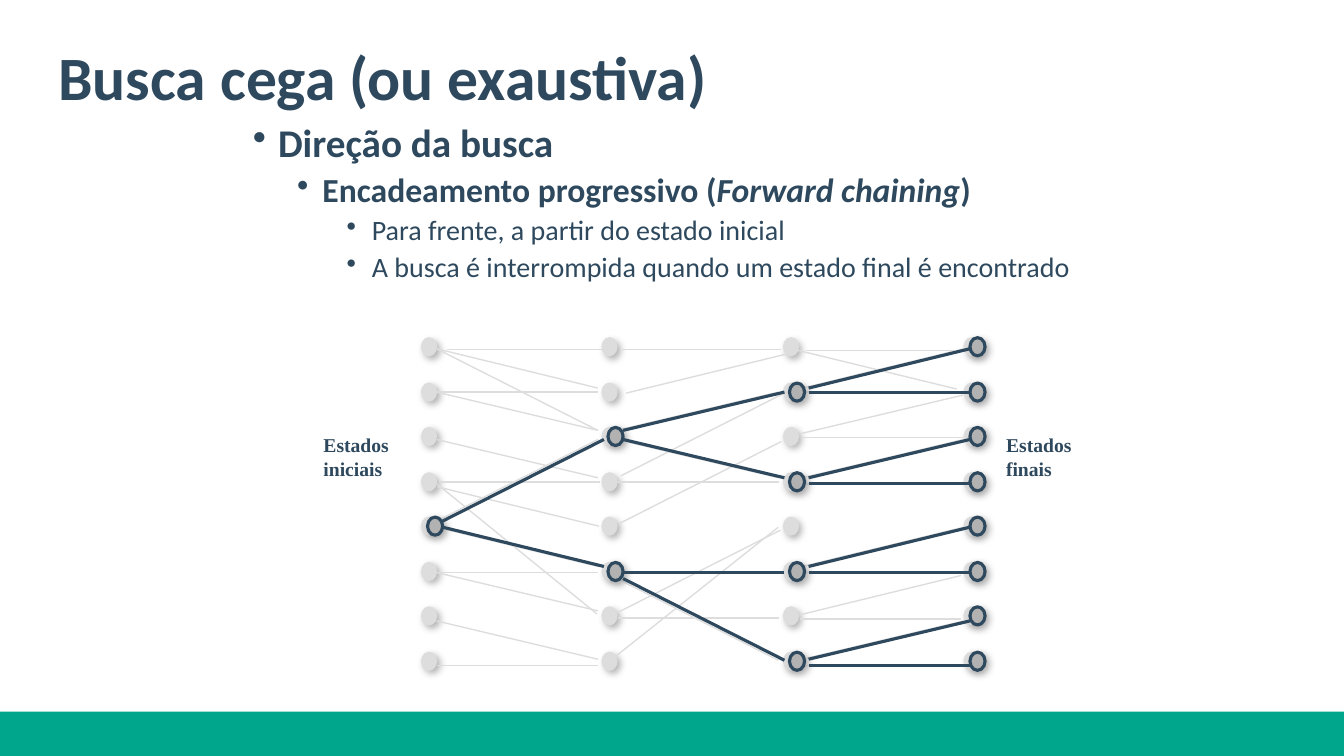
import pptx
import pptx.dml.color
import pptx.enum.shapes
import pptx.enum.text
import pptx.oxml
import pptx.oxml.ns
import pptx.util
from dataclasses import dataclass
from itertools import product
from typing import Any, NamedTuple

PX = 9144  # EMU per px, 100 px to the inch


@dataclass(frozen=True)
class Theme:
    ink: str = "2E495E"
    band: str = "00A68B"
    faded: str = "DDDDDD"
    visited: str = "B2B2B2"
    shadow: str = "9F9D9E"
    font: str = "Calibri"
    label_font: str = "Times New Roman"
    title_size: int = 44
    bullet_sizes: tuple[int, ...] = (28, 24, 20)
    label_size: int = 14


class Node(NamedTuple):
    column: int
    row: int


class Link(NamedTuple):
    """A line across the gap after a column, from height y to end_y."""
    column: int
    y: int
    end_y: int
    nudge: int = 0


class Look(NamedTuple):
    fill: str
    line: str
    outline: float
    link_width: float
    shift: int


class Bullet(NamedTuple):
    level: int
    text: str
    italic: str = ""
    tail: str = ""


class Label(NamedTuple):
    x: int
    lines: tuple[str, str]


THEME = Theme()
FADED = Look(THEME.faded, THEME.faded, 0.75, 1, 0)
ACTIVE = Look(THEME.visited, THEME.ink, 2.25, 2.25, 6)

COLUMN_X = (418, 597, 777, 956)
LINK_X = (433, 612, 796)
LINK_WIDTH = 160
ROW_TOP, ROW_STEP, ROWS = 335, 44.57, 8
NODE_WIDTH, NODE_HEIGHT = 15, 18
BULLET_INDENTS = (75, 119, 168)
HANGING = 25

ALL_NODES = [Node(*place) for place in product(range(len(COLUMN_X)), range(ROWS))]
VISITED_ROWS = ((4,), (2, 5), (1, 3, 5, 7), range(ROWS))
VISITED_NODES = [Node(column, row) for column, rows in enumerate(VISITED_ROWS) for row in rows]

SEARCH_LINKS = [
    Link(0, 523, 562), Link(0, 517, 436),
    Link(1, 427, 389), Link(1, 436, 474), Link(1, 568, 568), Link(1, 574, 655),
    Link(2, 385, 346), Link(2, 389, 389), Link(2, 474, 436), Link(2, 480, 480),
    Link(2, 562, 523), Link(2, 568, 568), Link(2, 654, 616), Link(2, 660, 660),
]
OTHER_LINKS = [
    Link(0, 346, 385), Link(0, 346, 427), Link(0, 347, 347, 10),
    Link(0, 389, 389), Link(0, 389, 427), Link(0, 436, 474),
    Link(0, 478, 478, 2), Link(0, 483, 522, 1), Link(0, 479, 609, -1),
    Link(0, 568, 568), Link(0, 568, 606), Link(0, 616, 654), Link(0, 660, 660),
    Link(1, 347, 347, 3), Link(1, 390, 351, 9), Link(1, 472, 391, 4),
    Link(1, 478, 478, 1), Link(1, 478, 478, -3), Link(1, 519, 438, 3),
    Link(1, 607, 526, 2), Link(1, 613, 613, 1), Link(1, 650, 523),
    Link(2, 347, 386, -7), Link(2, 348, 348, 3), Link(2, 430, 392, -1),
    Link(2, 434, 434, -1), Link(2, 610, 571, -3), Link(2, 614, 614, -3),
]
BULLETS = [
    Bullet(0, "Direção da busca"),
    Bullet(1, "Encadeamento progressivo (", "Forward chaining", ")"),
    Bullet(2, "Para frente, a partir do estado inicial"),
    Bullet(2, "A busca é interrompida quando um estado final é encontrado"),
]
LABELS = [Label(311, ("Estados", "iniciais")), Label(988, ("Estados", "finais"))]


def px(*lengths: int) -> list[pptx.util.Emu]:
    return [pptx.util.Emu(length * PX) for length in lengths]


def color(code: str) -> pptx.dml.color.RGBColor:
    return pptx.dml.color.RGBColor.from_string(code)


def append_xml(parent: Any, xml: str) -> None:
    """Append an element whose outer tag ends with the marker NS for namespaces."""
    parent.append(pptx.oxml.parse_xml(xml.replace("NS", pptx.oxml.ns.nsdecls("a"), 1)))


def add_text(para: Any, text: str, *, size: int, bold: bool = True,
             italic: bool = False, font: str = THEME.font) -> None:
    span = para.add_run()
    span.text = text
    span.font.size = pptx.util.Pt(size)
    span.font.bold = bold
    span.font.italic = italic
    span.font.name = font
    span.font.color.rgb = color(THEME.ink)


def draw_node(shapes: Any, node: Node, look: Look) -> None:
    x = COLUMN_X[node.column] + look.shift
    y = ROW_TOP + round(ROW_STEP * node.row)
    oval = shapes.add_shape(pptx.enum.shapes.MSO_SHAPE.OVAL, *px(x, y, NODE_WIDTH, NODE_HEIGHT))
    oval.fill.solid()
    oval.fill.fore_color.rgb = color(look.fill)
    oval.line.color.rgb = color(look.line)
    oval.line.width = pptx.util.Pt(look.outline)
    append_xml(oval._element.spPr, (
        '<a:effectLst NS><a:outerShdw blurRad="63500" dist="38100" dir="2700000">'
        f'<a:srgbClr val="{THEME.shadow}"><a:alpha val="75000"/></a:srgbClr>'
        '</a:outerShdw></a:effectLst>'))


def draw_link(shapes: Any, link: Link, look: Look) -> None:
    x = LINK_X[link.column] + link.nudge + look.shift
    line = shapes.add_connector(pptx.enum.shapes.MSO_CONNECTOR.STRAIGHT,
                                *px(x, link.y, x + LINK_WIDTH, link.end_y))
    line.line.color.rgb = color(look.line)
    line.line.width = pptx.util.Pt(look.link_width)
    append_xml(line._element.spPr, "<a:effectLst NS/>")


def draw_network(page: Any, nodes: list[Node], links: list[Link], look: Look) -> None:
    shapes = page.shapes.add_group_shape().shapes
    for node in nodes:
        draw_node(shapes, node, look)
    for link in links:
        draw_link(shapes, link, look)


def draw_band(page: Any) -> None:
    band = page.shapes.add_shape(pptx.enum.shapes.MSO_SHAPE.RECTANGLE, *px(0, 706, 1333, 44))
    band.shadow.inherit = False
    band.fill.solid()
    band.fill.fore_color.rgb = color(THEME.band)
    band.line.fill.background()


def draw_title(page: Any, text: str) -> None:
    box = page.shapes.title
    box.left, box.top, box.width, box.height = px(48, 7, 1150, 145)
    box.text_frame.auto_size = pptx.enum.text.MSO_AUTO_SIZE.NONE
    box.text_frame.vertical_anchor = pptx.enum.text.MSO_ANCHOR.MIDDLE
    para = box.text_frame.paragraphs[0]
    para.alignment = pptx.enum.text.PP_ALIGN.LEFT
    para.line_spacing = 0.9
    add_text(para, text, size=THEME.title_size)


def draw_bullets(page: Any, bullets: list[Bullet]) -> None:
    frame = page.shapes.add_textbox(*px(191, 118, 950, 200)).text_frame
    frame.word_wrap = True
    frame.margin_right = 0
    for index, bullet in enumerate(bullets):
        para = frame.add_paragraph() if index else frame.paragraphs[0]
        para.level = bullet.level
        properties = para._p.get_or_add_pPr()
        properties.set("marL", str(BULLET_INDENTS[bullet.level] * PX))
        properties.set("indent", str(-HANGING * PX))
        append_xml(properties, f'<a:buClr NS><a:srgbClr val="{THEME.ink}"/></a:buClr>')
        append_xml(properties, '<a:buChar NS char="•"/>')
        para.line_spacing = 0.9
        para.space_before = pptx.util.Pt(5 if index else 0)
        for text in filter(None, bullet[1:]):
            add_text(para, text, size=THEME.bullet_sizes[bullet.level],
                     bold=bullet.level < 2, italic=text == bullet.italic)


def draw_label(page: Any, label: Label) -> None:
    frame = page.shapes.add_textbox(*px(label.x, 428, 90, 50)).text_frame
    frame.word_wrap = False
    frame.margin_top = frame.margin_bottom = 0
    frame.vertical_anchor = pptx.enum.text.MSO_ANCHOR.MIDDLE
    for index, line in enumerate(label.lines):
        para = frame.add_paragraph() if index else frame.paragraphs[0]
        add_text(para, line, size=THEME.label_size, font=THEME.label_font)


def main() -> None:
    deck = pptx.Presentation()
    deck.slide_width, deck.slide_height = px(1333, 750)
    page = deck.slides.add_slide(deck.slide_layouts.get_by_name("Title Only"))
    draw_band(page)
    draw_title(page, "Busca cega (ou exaustiva)")
    draw_bullets(page, BULLETS)
    draw_network(page, ALL_NODES, SEARCH_LINKS + OTHER_LINKS, FADED)
    for label in LABELS:
        draw_label(page, label)
    draw_network(page, VISITED_NODES, SEARCH_LINKS, ACTIVE)
    deck.save("out.pptx")


if __name__ == "__main__":
    main()
